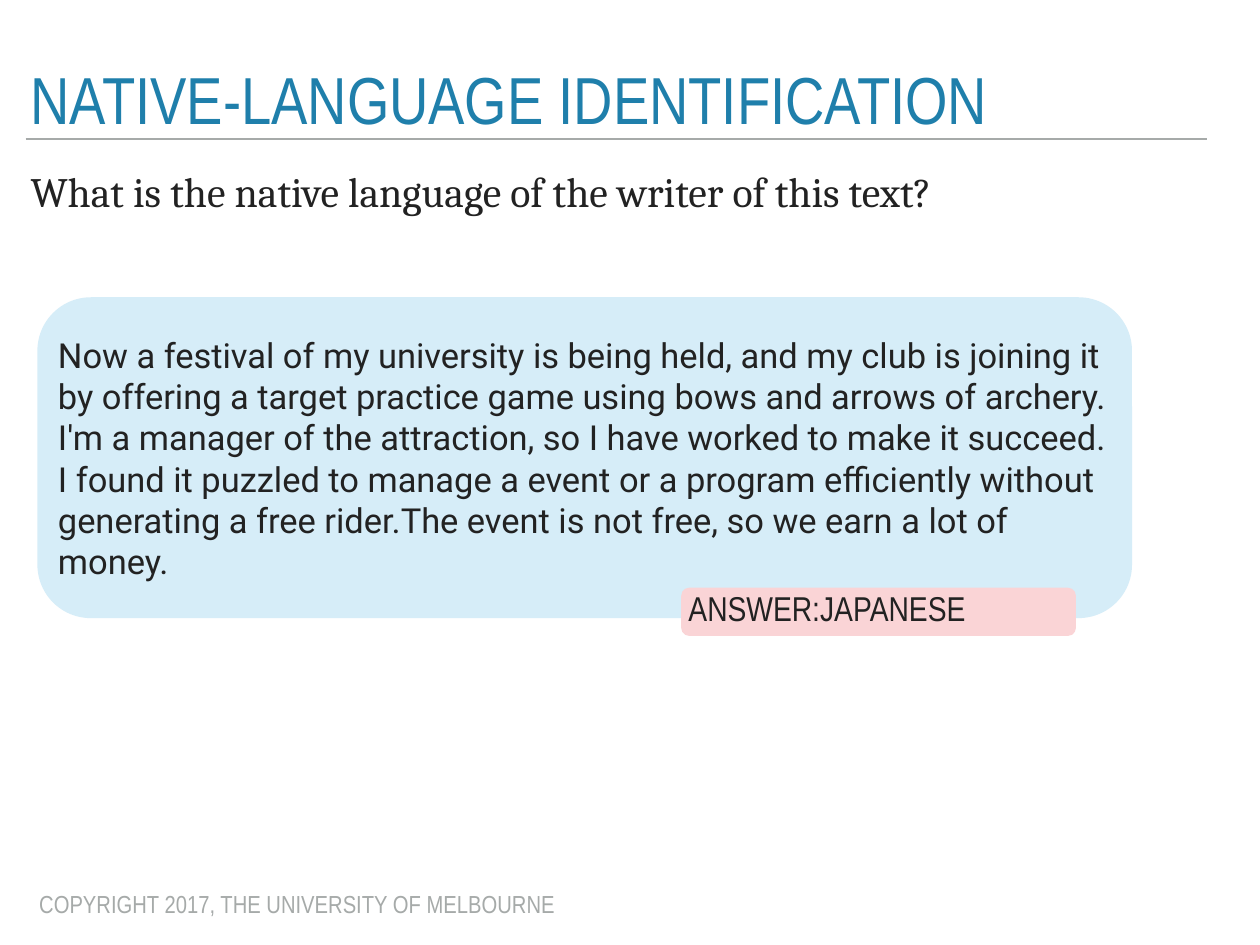
from lxml import etree
from pptx import Presentation
from pptx import util as u
from pptx.dml.color import RGBColor
from pptx.enum import shapes, text
from pptx.oxml.ns import qn

PX = u.Inches(1) // 90
THEME = {
    "blue": RGBColor.from_string("1F7FAB"),
    "ink": RGBColor.from_string("222222"),
    "grey": RGBColor.from_string("A6AAA9"),
    "pale_blue": RGBColor.from_string("D6EDF8"),
    "pink": RGBColor.from_string("FAD4D6"),
    "heading_font": "Arial Narrow",
    "question_font": "Cambria",
    "passage_font": "Roboto",
    "title_size": 54,
    "question_size": 34,
    "passage_size": 28,
    "footer_size": 20,
}


def px(*lengths):
    return [length * PX for length in lengths]


def write(shape, words, font, size, color, before=0, spacing=1.0, inset=5,
          anchor=text.MSO_ANCHOR.TOP, fit=text.MSO_AUTO_SIZE.NONE, wrap=True):
    frame = shape.text_frame
    frame.word_wrap = wrap
    frame.auto_size = fit
    frame.vertical_anchor = anchor
    frame.margin_left = frame.margin_right = inset * PX
    frame.margin_top = frame.margin_bottom = min(inset, 5) * PX
    paragraph = frame.paragraphs[0]
    paragraph.text = words
    paragraph.alignment = text.PP_ALIGN.LEFT
    paragraph.space_before = u.Pt(before)
    paragraph.line_spacing = spacing
    paragraph.font.name = THEME[font]
    paragraph.font.size = u.Pt(THEME[size])
    paragraph.font.color.rgb = THEME[color]


deck = Presentation()
deck.slide_width, deck.slide_height = px(1280, 960)
slide = deck.slides.add_slide(deck.slide_layouts[5])

footer = slide.shapes.add_textbox(*px(31, 898, 546, 37))
write(footer, "COPYRIGHT 2017, THE UNIVERSITY OF MELBOURNE",
      "heading_font", "footer_size", "grey", before=24, inset=9,
      fit=text.MSO_AUTO_SIZE.SHAPE_TO_FIT_TEXT, wrap=False)

rule = slide.shapes.add_connector(
    shapes.MSO_CONNECTOR.STRAIGHT, *px(26, 141, 1226, 141))
rule.line.color.rgb = THEME["grey"]
rule.line.width = u.Pt(2)
etree.SubElement(rule._element.spPr, qn("a:effectLst"))

title = slide.shapes.title
title.left, title.top, title.width, title.height = px(26, 70, 1200, 71)
write(title, "NATIVE-LANGUAGE IDENTIFICATION",
      "heading_font", "title_size", "blue", before=28, spacing=0.8)

question = slide.shapes.add_textbox(*px(26, 163, 1200, 768))
write(question, "What is the native language of the writer of this text?",
      "question_font", "question_size", "ink", before=26)

passage = (
    "Now a festival of my university is being held, and my club is joining it "
    "by offering a target practice game using bows and arrows of archery. "
    "I'm a manager of the attraction, so I have worked to make it succeed. "
    "I found it puzzled to manage a event or a program efficiently without "
    "generating a free rider.The event is not free, so we earn a lot of money."
)
panels = [
    ((38, 302, 1112, 326), "pale_blue", passage, "passage_font", 24, 1.0),
    ((692, 597, 401, 49), "pink", "ANSWER:JAPANESE", "heading_font", 0, 0.8),
]
for box, fill, words, font, before, spacing in panels:
    panel = slide.shapes.add_shape(
        shapes.MSO_SHAPE.ROUNDED_RECTANGLE, *px(*box))
    panel.shadow.inherit = False
    panel.fill.solid()
    panel.fill.fore_color.rgb = THEME[fill]
    panel.line.fill.background()
    write(panel, words, font, "passage_size", "ink", before, spacing,
          anchor=text.MSO_ANCHOR.MIDDLE,
          fit=text.MSO_AUTO_SIZE.SHAPE_TO_FIT_TEXT)

deck.save("out.pptx")
